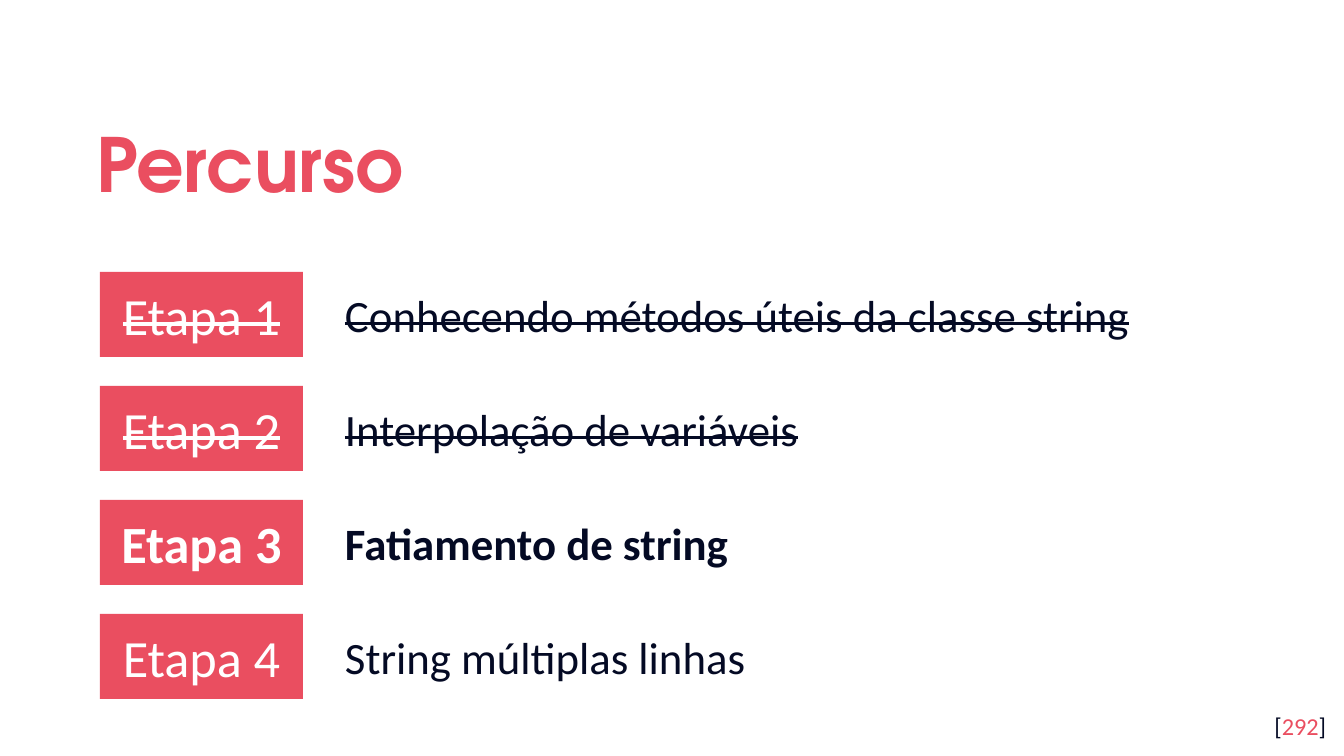
from pptx import Presentation
from pptx.dml.color import RGBColor
from pptx.enum.shapes import MSO_SHAPE
from pptx.enum.text import MSO_ANCHOR, MSO_AUTO_SIZE, PP_ALIGN
from pptx.util import Pt

RECTANGLE = MSO_SHAPE.RECTANGLE
TOP, MIDDLE = MSO_ANCHOR.TOP, MSO_ANCHOR.MIDDLE
LEFT, CENTER, RIGHT = PP_ALIGN.LEFT, PP_ALIGN.CENTER, PP_ALIGN.RIGHT
NO_FIT = MSO_AUTO_SIZE.NONE

PX_PER_INCH = 134.4
EMU_PER_INCH = 914400
TITLE_ONLY = 5
COLORS = {"accent": "EA4E60", "ink": "040A24", "white": "FFFFFF"}
BODY_FONT, TITLE_FONT = "Calibri", "TeX Gyre Adventor"

FIRST_TOP, ROW_STEP = 272, 114
STAGES = [
    ("Conhecendo métodos úteis da classe string", {"strike": True}),
    ("Interpolação de variáveis", {"strike": True}),
    ("Fatiamento de string", {"bold": True}),
    ("String múltiplas linhas", {}),
]


def px(length):
    return round(length * EMU_PER_INCH / PX_PER_INCH)


def color(name):
    return RGBColor.from_string(COLORS[name])


def write(para, text, *, size, ink="ink", font=BODY_FONT, bold=False, strike=False):
    """Append one formatted span to a paragraph."""
    span = para.add_run()
    span.text = text
    span.font.name = font
    span.font.size = Pt(size)
    span.font.bold = bold
    span.font.color.rgb = color(ink)
    if strike:
        span.font._element.set("strike", "sngStrike")


def prepare(box, *, anchor=TOP, align=LEFT, inset=13):
    """Set the text layout of a shape and return its first paragraph."""
    frame = box.text_frame
    frame.word_wrap = True
    frame.auto_size = NO_FIT
    frame.vertical_anchor = anchor
    frame.margin_left = frame.margin_right = px(13)
    frame.margin_top = frame.margin_bottom = px(inset)
    para = frame.paragraphs[0]
    para.alignment = align
    return para


def add_title(page, text):
    box = page.shapes.title
    box.left, box.top, box.width, box.height = map(px, (83, 94, 1089, 124))
    para = prepare(box, anchor=MIDDLE)
    para.line_spacing = 1.15
    write(para, text, size=40, ink="accent", font=TITLE_FONT, bold=True)


def add_stage_label(page, top, text, **style):
    box = page.shapes.add_shape(RECTANGLE, *map(px, (100, top, 203, 85)))
    box.shadow.inherit = False
    box.fill.solid()
    box.fill.fore_color.rgb = color("accent")
    box.line.fill.background()
    para = prepare(box, anchor=MIDDLE, align=CENTER)
    write(para, text, size=28, ink="white", **style)


def add_stage_topic(page, top, text, **style):
    box = page.shapes.add_textbox(*map(px, (332, top + 9, 907, 67)))
    write(prepare(box, inset=7), text, size=24, **style)


def add_page_number(page, number):
    box = page.shapes.add_textbox(*map(px, (1258, 698, 81, 58)))
    para = prepare(box, align=RIGHT)
    for text, ink in (("[", "ink"), (number, "accent"), ("]", "ink")):
        write(para, text, size=13, ink=ink)


def main():
    deck = Presentation()
    deck.slide_width, deck.slide_height = px(1344), px(756)
    page = deck.slides.add_slide(deck.slide_layouts[TITLE_ONLY])
    add_title(page, "Percurso")
    add_page_number(page, "292")
    for index, (topic, style) in enumerate(STAGES):
        top = FIRST_TOP + index * ROW_STEP
        add_stage_label(page, top, f"Etapa {index + 1}", **style)
        add_stage_topic(page, top, topic, **style)
    deck.save("out.pptx")


if __name__ == "__main__":
    main()
